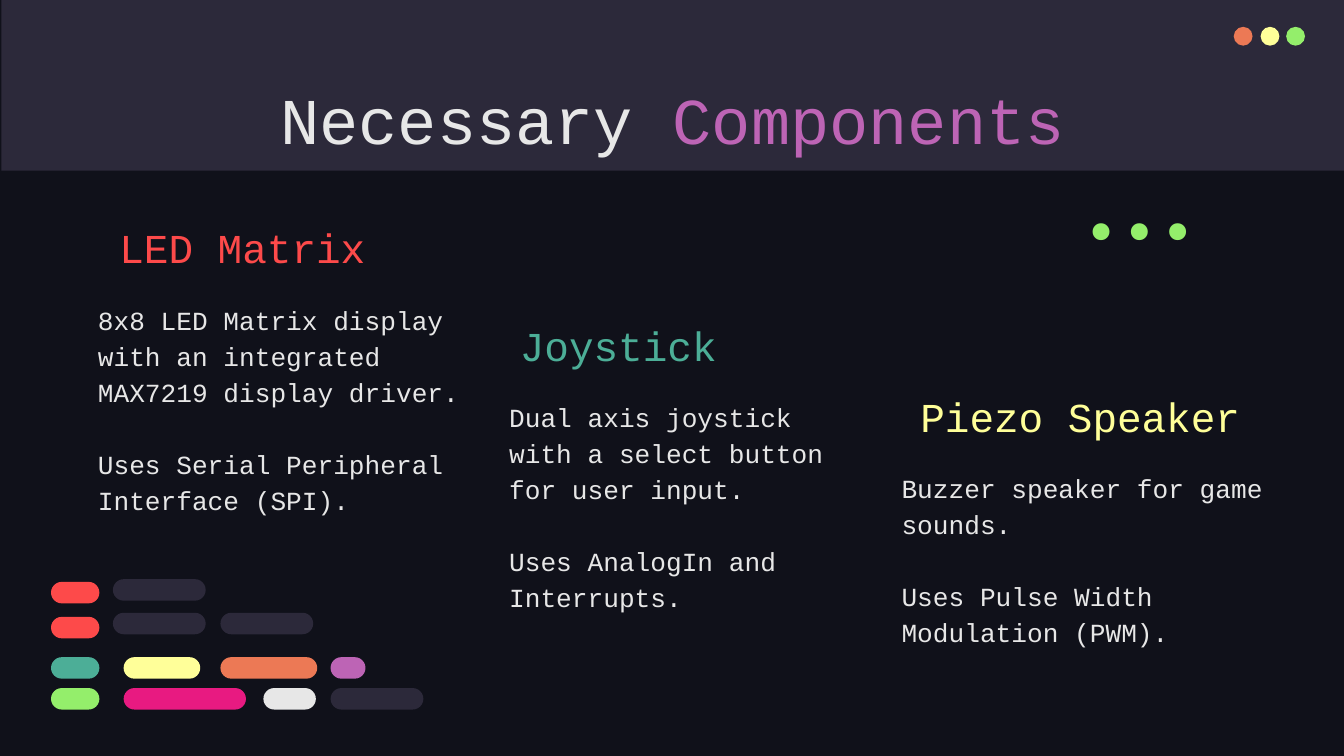
from pptx import Presentation
from pptx.dml.color import RGBColor
from pptx.enum.shapes import MSO_SHAPE
from pptx.enum.text import MSO_ANCHOR, PP_ALIGN
from pptx.util import Emu, Pt

RECT, OVAL, PILL = MSO_SHAPE.RECTANGLE, MSO_SHAPE.OVAL, MSO_SHAPE.ROUNDED_RECTANGLE
TOP, BOTTOM = MSO_ANCHOR.TOP, MSO_ANCHOR.BOTTOM
LEFT, CENTER, RIGHT = PP_ALIGN.LEFT, PP_ALIGN.CENTER, PP_ALIGN.RIGHT
PX = 9144  # 100 px to the inch
MONO = "Courier New"

NIGHT, PANEL, WHITE = "10111A", "2C293A", "E7E7E7"
RED, TEAL, YELLOW, ORANGE = "FD4A4A", "4CAE97", "FFFF99", "EC7955"
PURPLE, GREEN, PINK = "BD64B5", "94EE6B", "E81A81"

# Content
TITLE = [("Necessary ", WHITE), ("Components", PURPLE)]
COMPONENTS = [  # heading, colour, heading box, body box, paragraphs
    ("LED Matrix", RED, (79, 140, 264, 72), (63, 213, 298, 180),
     ["8x8 LED Matrix display with an integrated MAX7219 display driver.",
      "Uses Serial Peripheral Interface (SPI)."]),
    ("Joystick", TEAL, (377, 213, 290, 72), (369, 285, 271, 149),
     ["Dual axis joystick with a select button for user input.",
      "Uses AnalogIn and Interrupts."]),
    ("Piezo Speaker", YELLOW, (675, 266, 264, 72), (661, 338, 294, 149),
     ["Buzzer speaker for game sounds.",
      "Uses Pulse Width Modulation (PWM)."]),
]
WINDOW_DOTS = [(918, ORANGE), (938, YELLOW), (957, GREEN)]
PILL_ROWS = [  # top, then (left, width, colour)
    (431, [(84, 69, PANEL)]),
    (433, [(38, 36, RED)]),
    (456, [(84, 69, PANEL), (164, 69, PANEL)]),
    (459, [(38, 36, RED)]),
    (489, [(38, 36, TEAL), (92, 57, YELLOW), (164, 72, ORANGE), (246, 26, PURPLE)]),
    (512, [(38, 36, GREEN), (92, 91, PINK), (196, 39, WHITE), (246, 69, PANEL)]),
]


def rgb(value):
    return RGBColor.from_string(value)


def px(box):
    return [Emu(v * PX) for v in box]


def add_block(kind, box, color):
    sp = s.shapes.add_shape(kind, *px(box))
    sp.shadow.inherit = False
    sp.fill.solid()
    sp.fill.fore_color.rgb = rgb(color)
    sp.line.fill.background()
    return sp


def write(sp, paragraphs, size, font=MONO, anchor=TOP, align=LEFT, spacing=1.0, gap=0):
    """Fill a shape with paragraphs, each a list of (text, colour) runs."""
    tf = sp.text_frame
    frame = dict(word_wrap=True, vertical_anchor=anchor, margin_left=Emu(10 * PX),
                 margin_right=Emu(10 * PX), margin_top=Emu(10 * PX),
                 margin_bottom=Emu(10 * PX))
    for name, value in frame.items():
        setattr(tf, name, value)
    for i, runs in enumerate(paragraphs):
        p = tf.add_paragraph() if i else tf.paragraphs[0]
        p.alignment, p.line_spacing = align, spacing
        p.space_before = Pt(gap if i else 0)
        for text, color in runs:
            r = p.add_run()
            r.text = text
            r.font.name, r.font.size = font, Pt(size)
            r.font.color.rgb = rgb(color)


def add_text(box, paragraphs, size, **style):
    write(s.shapes.add_textbox(*px(box)), paragraphs, size, **style)


prs = Presentation()
prs.slide_width = Emu(1000 * PX)
prs.slide_height = Emu(prs.slide_width * 9 // 16)
s = prs.slides.add_slide(prs.slide_layouts[5])
s.background.fill.solid()
s.background.fill.fore_color.rgb = rgb(NIGHT)

# Header band and title
band = add_block(RECT, (1, 0, 1000, 127), PANEL)
s.shapes.title.element.addprevious(band.element)
for left, color in WINDOW_DOTS:
    add_block(OVAL, (left, 20, 14, 14), color)
title = s.shapes.title
title.left, title.top, title.width, title.height = px((79, 49, 843, 63))
write(title, [TITLE], 35, align=CENTER)

# Component columns
for heading, color, heading_box, body_box, lines in COMPONENTS:
    add_text(body_box, [[(line, WHITE)] for line in lines], 14, spacing=1.15, gap=19.5)
    add_text(heading_box, [[(heading, color)]], 22, anchor=BOTTOM, spacing=1.15)

# Code-like pills
for top, pills in PILL_ROWS:
    for left, width, color in pills:
        add_block(PILL, (left, top, width, 16), color).adjustments[0] = 0.5

# Ellipsis accent
add_text((764, 142, 158, 60), [[("...", GREEN)]], 50, font="Fira Code",
         anchor=BOTTOM, align=RIGHT)

prs.save("out.pptx")
